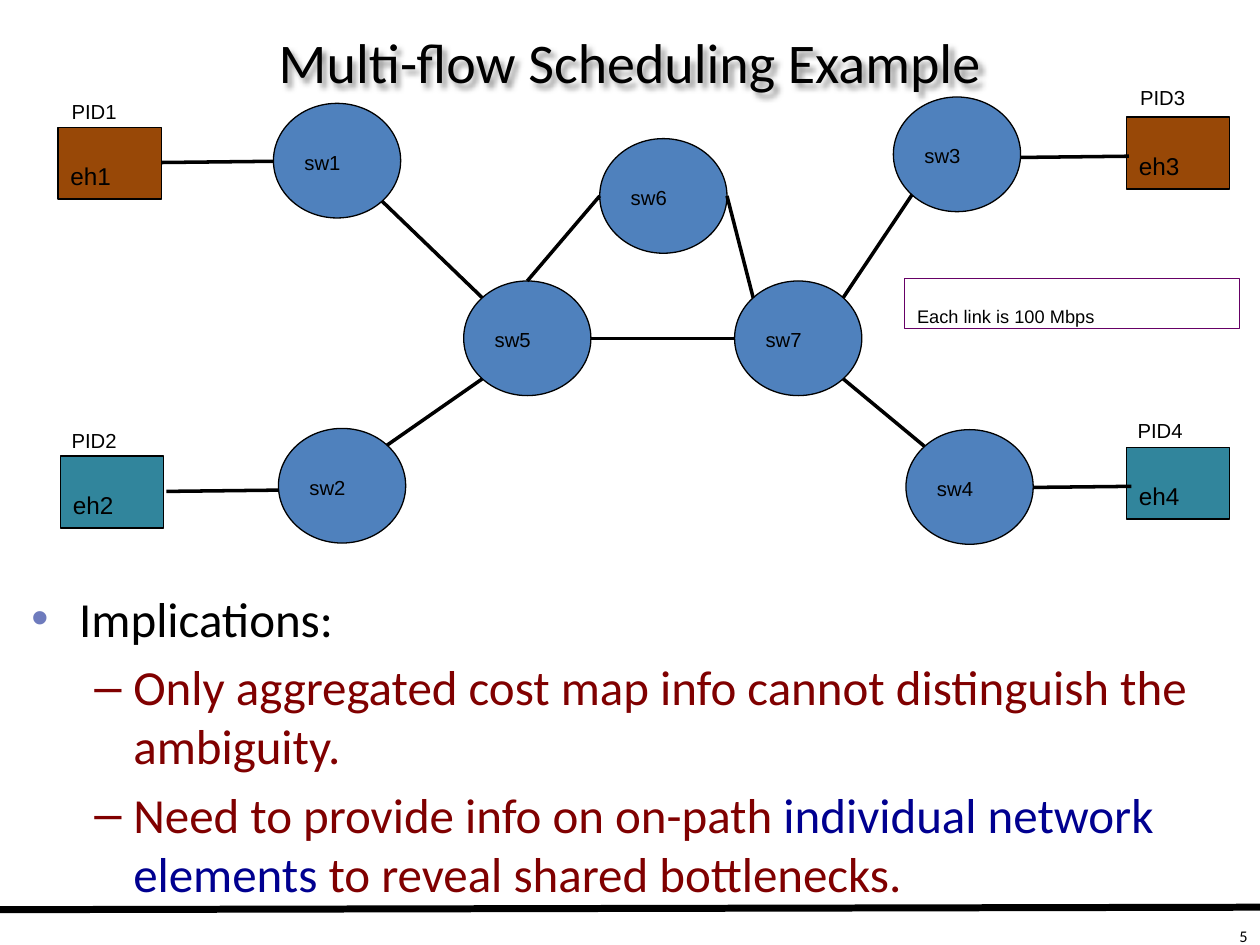
from lxml import etree
from pptx import Presentation
from pptx.dml.color import RGBColor
from pptx.enum.shapes import MSO_CONNECTOR, MSO_SHAPE
from pptx.enum.text import MSO_ANCHOR, PP_ALIGN
from pptx.oxml.ns import qn
from pptx.util import Inches, Pt

OVAL, RECTANGLE = MSO_SHAPE.OVAL, MSO_SHAPE.RECTANGLE
STRAIGHT = MSO_CONNECTOR.STRAIGHT
TOP, MIDDLE = MSO_ANCHOR.TOP, MSO_ANCHOR.MIDDLE
LEFT, CENTER, RIGHT = PP_ALIGN.LEFT, PP_ALIGN.CENTER, PP_ALIGN.RIGHT
BLACK, BLUE, BROWN, TEAL = "000000", "4F81BD", "984807", "31859C"
PURPLE, MAROON, NAVY, BULLET = "660066", "800000", "000090", "6E7BBD"
LOWERED = -25000

SWITCH_SIZE = (1.01, 0.91)
HOST_SIZE = (0.82, 0.57)
LABEL_SIZE = (0.83, 0.44)
SWITCHES = {"sw1": (2.17, 0.82), "sw2": (2.21, 3.4), "sw3": (7.09, 0.77), "sw4": (7.19, 3.41),
            "sw5": (3.68, 2.23), "sw6": (4.76, 1.1), "sw7": (5.83, 2.23)}
HOSTS = {"eh1": (0.46, 1.01, BROWN), "eh2": (0.48, 3.62, TEAL),
         "eh3": (8.94, 0.93, BROWN), "eh4": (8.94, 3.55, TEAL)}
LABELS = {"PID1 ": (0.47, 0.55), "PID2 ": (0.47, 3.16),
          "PID3 ": (8.95, 0.44), "PID4 ": (8.93, 3.08)}
# Horizontal and vertical direction from a switch's centre
SWITCH_LINKS = [("sw1", (1, 1), "sw5", (-1, -1)), ("sw2", (1, -1), "sw5", (-1, 1)),
                ("sw7", (1, -1), "sw3", (-1, 1)), ("sw7", (1, 1), "sw4", (-1, -1)),
                ("sw5", (1, 0), "sw7", (-1, 0)), ("sw5", (0, -1), "sw6", (-1, 0)),
                ("sw7", (-1, -1), "sw6", (1, 0))]
HOST_LINKS = [(1.28, 1.29), (1.32, 3.9), (8.06, 1.25), (8.08, 3.87)]
HOST_LINK_LENGTH = 0.9


def color(value):
    """Turn a hex string into a colour."""
    return RGBColor.from_string(value)


def box_inches(box):
    """Turn left, top, width and height into lengths."""
    return [Inches(value) for value in box]


def add_run(paragraph, text, size=20, font="Arial", fill=BLACK, baseline=None):
    """Add formatted text, lowered when a baseline is given."""
    run = paragraph.add_run()
    run.text = text
    run.font.size = Pt(size)
    run.font.name = font
    run.font.color.rgb = color(fill)
    if baseline:
        run._r.get_or_add_rPr().set("baseline", str(baseline))


def write(shape, text, align=LEFT, anchor=TOP, **style):
    """Write one formatted paragraph into a shape."""
    frame = shape.text_frame
    frame.word_wrap = True
    frame.vertical_anchor = anchor
    paragraph = frame.paragraphs[0]
    paragraph.alignment = align
    add_run(paragraph, text, **style)


def add_text(slide, box, text, **style):
    """Add a text box with one paragraph."""
    write(slide.shapes.add_textbox(*box_inches(box)), text, **style)


def add_node(slide, kind, box, text, fill=None, line=BLACK, **style):
    """Add an outlined shape with lowered text."""
    shape = slide.shapes.add_shape(kind, *box_inches(box))
    shape.shadow.inherit = False
    if fill:
        shape.fill.solid()
        shape.fill.fore_color.rgb = color(fill)
    else:
        shape.fill.background()
    shape.line.color.rgb = color(line)
    shape.line.width = Pt(0.75)
    write(shape, text, baseline=LOWERED, **style)


def add_line(slide, start, end, width=2):
    """Add a plain black line between two points."""
    connector = slide.shapes.add_connector(
        STRAIGHT, *box_inches((*start, *end)))
    connector.line.color.rgb = color(BLACK)
    connector.line.width = Pt(width)
    etree.SubElement(connector._element.spPr, qn("a:effectLst"))


def switch_point(name, direction):
    """Find the point on a switch's rim in a direction."""
    reach = 0.5 if 0 in direction else 0.5 ** 0.5 / 2
    return [start + size * (0.5 + reach * step)
            for start, size, step in zip(SWITCHES[name], SWITCH_SIZE, direction)]


def add_title(slide, box, text):
    """Place the title and give its letters a soft shadow."""
    title = slide.shapes.title
    title.left, title.top, title.width, title.height = box_inches(box)
    write(title, text, align=CENTER, anchor=MIDDLE, size=32, font="Calibri")
    title.fill.background()
    effects = etree.SubElement(title._element.spPr, qn("a:effectLst"))
    shadow = etree.SubElement(effects, qn("a:outerShdw"), blurRad="38100", dist="38100",
                              dir="2700000", algn="tl")
    shade = etree.SubElement(shadow, qn("a:srgbClr"), val=BLACK)
    etree.SubElement(shade, qn("a:alpha"), val="40000")


def add_network(slide):
    """Draw hosts, switches, their labels and the links."""
    for name, (left, top, fill) in HOSTS.items():
        add_node(slide, RECTANGLE, (left, top, *HOST_SIZE), name, fill=fill, size=24)
    for left, top in HOST_LINKS:
        add_line(slide, (left, top), (left + HOST_LINK_LENGTH, top - 0.01))
    for name, position in SWITCHES.items():
        add_node(slide, OVAL, (*position, *SWITCH_SIZE), name, fill=BLUE)
    for first, first_side, second, second_side in SWITCH_LINKS:
        add_line(slide, switch_point(first, first_side), switch_point(second, second_side))
    for text, position in LABELS.items():
        add_text(slide, (*position, *LABEL_SIZE), text, baseline=LOWERED)
    add_node(slide, RECTANGLE, (7.18, 2.21, 2.66, 0.4), "Each link is 100 Mbps",
             line=PURPLE, size=18)


def add_bullet(paragraph, mark, margin, indent, fill=None):
    """Give a paragraph a hanging bullet."""
    properties = paragraph._p.get_or_add_pPr()
    properties.set("marL", str(Inches(margin)))
    properties.set("indent", str(Inches(indent)))
    if fill:
        holder = etree.SubElement(properties, qn("a:buClr"))
        etree.SubElement(holder, qn("a:srgbClr"), val=fill)
    etree.SubElement(properties, qn("a:buFont"), typeface="Arial")
    etree.SubElement(properties, qn("a:buChar"), char=mark)


def add_implications(slide, box):
    """Write the bulleted conclusions."""
    frame = slide.shapes.add_textbox(*box_inches(box)).text_frame
    frame.word_wrap = True
    points = [
        (0, [("Implications:", BLACK)]),
        (1, [("Only aggregated cost map info cannot distinguish the ambiguity.", MAROON)]),
        (1, [("Need to provide info on on-path ", MAROON),
             ("individual network elements", NAVY),
             (" to reveal shared bottlenecks.", MAROON)]),
    ]
    for index, (level, runs) in enumerate(points):
        paragraph = frame.add_paragraph() if index else frame.paragraphs[0]
        paragraph.level = level
        paragraph.space_before = Pt(5.6)
        if level:
            add_bullet(paragraph, "–", 0.81, -0.31)
        else:
            add_bullet(paragraph, "•", 0.38, -0.38, BULLET)
        for text, fill in runs:
            add_run(paragraph, text, size=28, font="Calibri", fill=fill)


def add_footer(slide):
    """Draw the bottom rule and the slide number."""
    add_line(slide, (0, 7.22), (10, 7.2), width=4)
    add_text(slide, (7.92, 7.15, 2.08, 0.33), "5", align=RIGHT, size=16,
             font="Calibri", baseline=LOWERED)


def main():
    """Build and save the slide."""
    presentation = Presentation()
    presentation.slide_width, presentation.slide_height = Inches(10), Inches(7.5)
    slide = presentation.slides.add_slide(presentation.slide_layouts[5])
    add_footer(slide)
    add_title(slide, (0.5, 0, 9, 0.97), "Multi-flow Scheduling Example")
    add_implications(slide, (0.15, 4.62, 9.69, 2.45))
    add_network(slide)
    presentation.save("out.pptx")


main()
